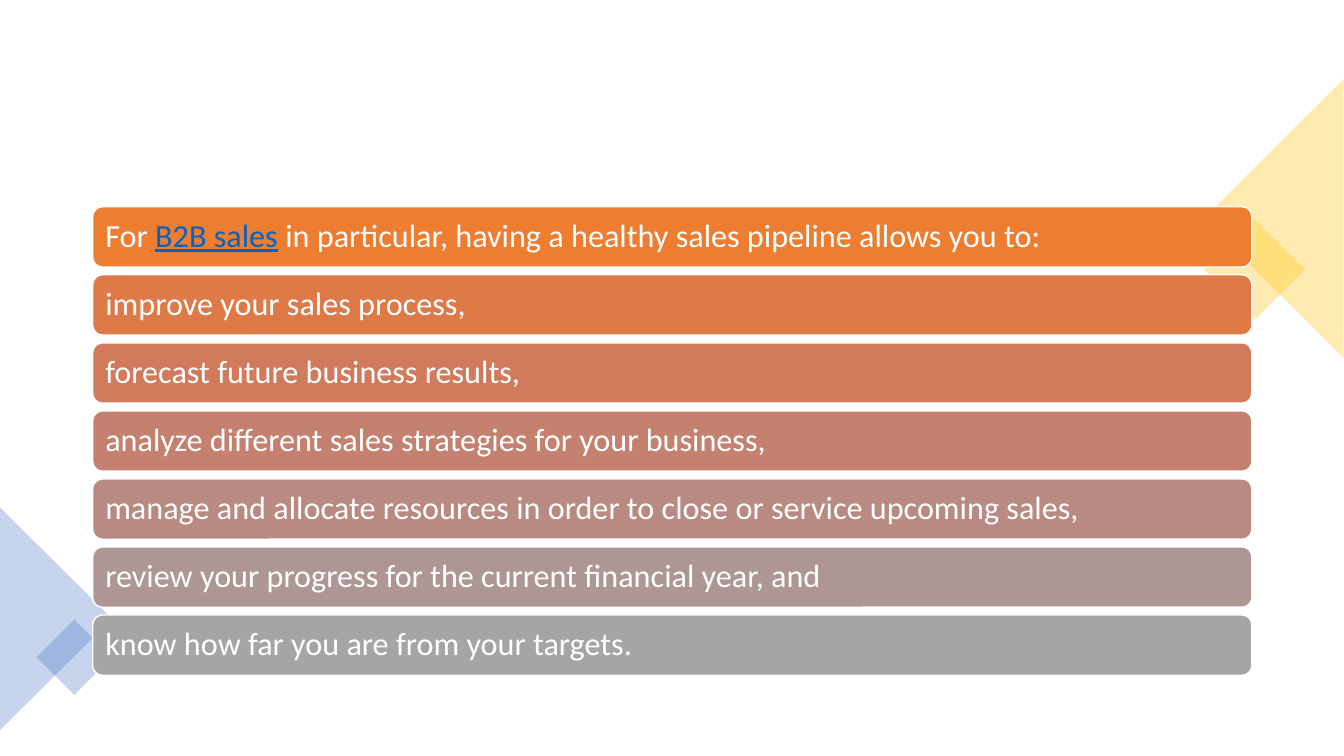
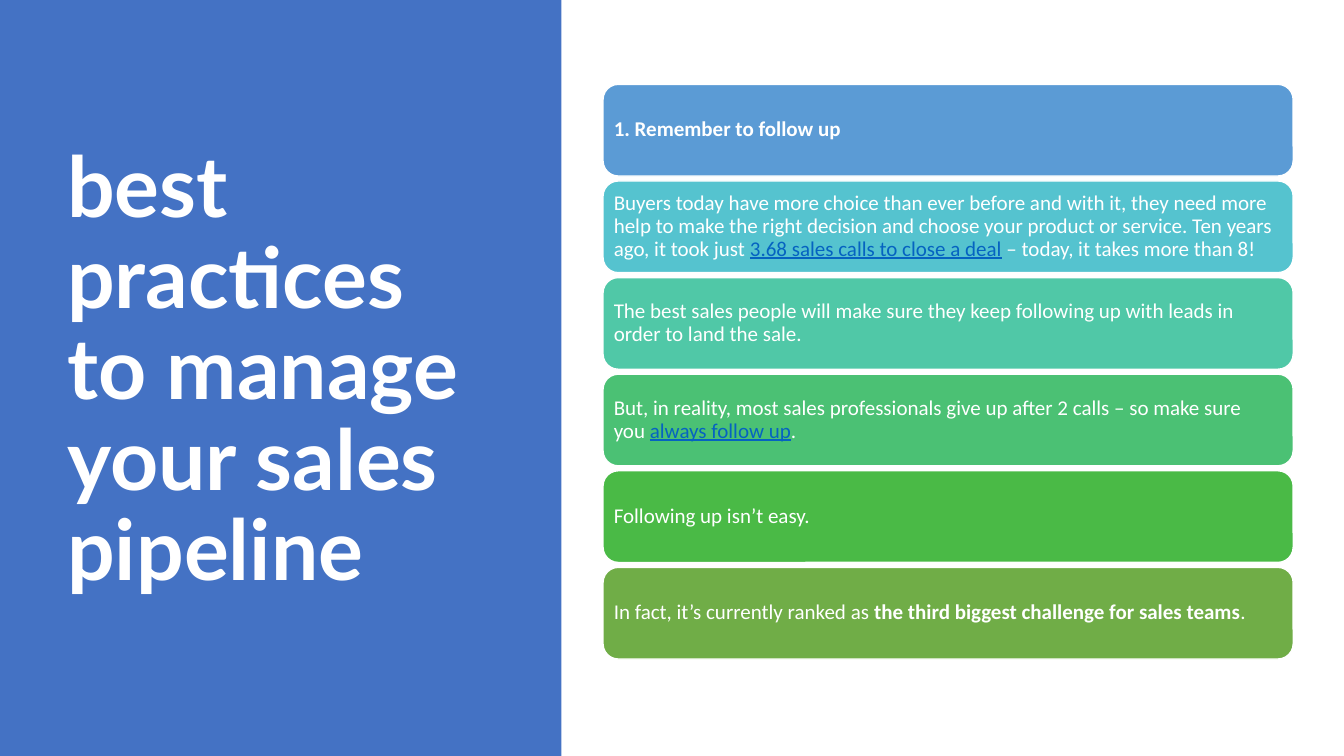
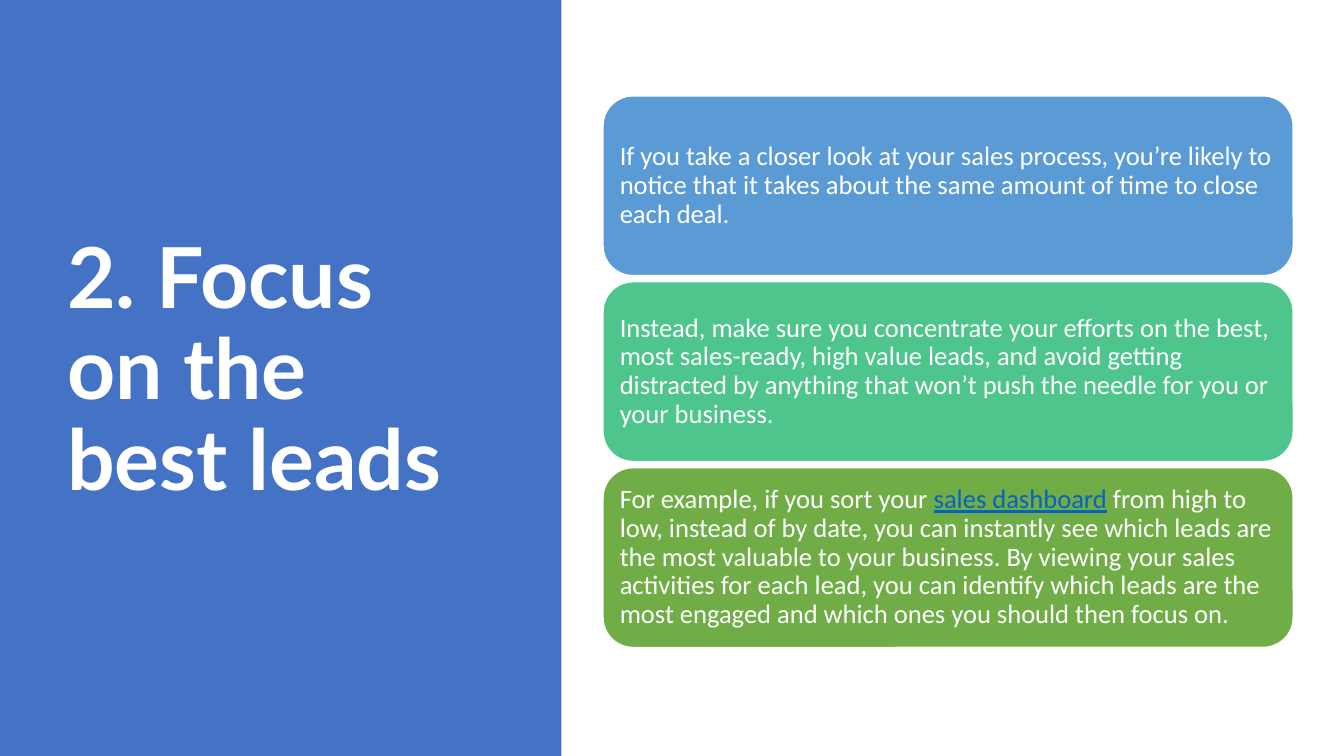
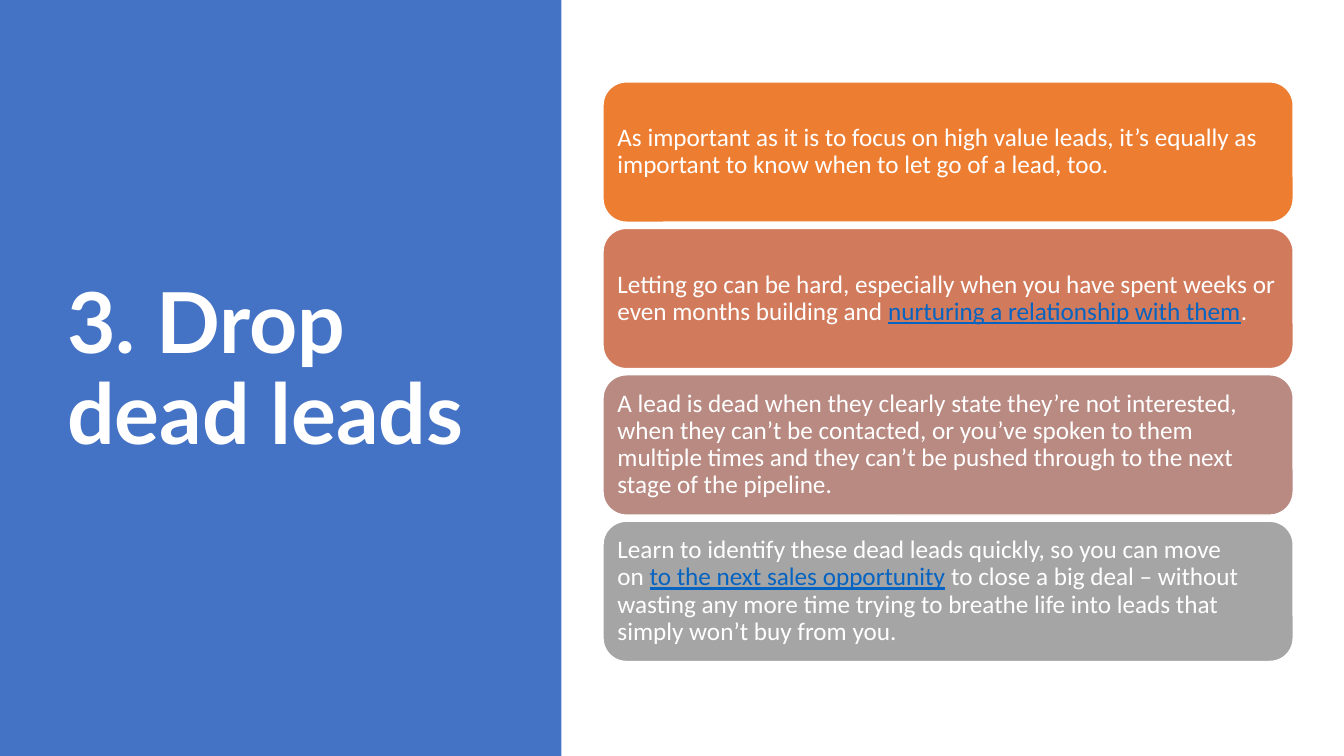
from lxml.etree import SubElement
from pptx import Presentation
from pptx.dml.color import RGBColor
from pptx.enum.shapes import MSO_SHAPE
from pptx.enum.text import MSO_ANCHOR, PP_ALIGN
from pptx.oxml.ns import qn
from pptx.util import Pt

RECT = MSO_SHAPE.RECTANGLE
ROUND = MSO_SHAPE.ROUNDED_RECTANGLE
PEAK = MSO_SHAPE.ISOSCELES_TRIANGLE
MIDDLE = MSO_ANCHOR.MIDDLE
LEFT = PP_ALIGN.LEFT

WHITE = RGBColor(0xFF, 0xFF, 0xFF)
BLUE = RGBColor(0x44, 0x72, 0xC4)
GOLD = RGBColor(0xFF, 0xC0, 0x00)
LINK = RGBColor(0x05, 0x63, 0xC1)
ORANGE = RGBColor(0xED, 0x7D, 0x31)
COPPER = RGBColor(0xDE, 0x7A, 0x47)
CLAY = RGBColor(0xD1, 0x7B, 0x5C)
ROSE = RGBColor(0xC4, 0x81, 0x70)
MAUVE = RGBColor(0xB9, 0x8A, 0x82)
ASH = RGBColor(0xAE, 0x96, 0x94)
GRAY = RGBColor(0xA5, 0xA5, 0xA5)
SKY = RGBColor(0x5B, 0x9B, 0xD5)
AQUA = RGBColor(0x55, 0xC3, 0xCF)
TEAL = RGBColor(0x50, 0xC8, 0xA7)
MINT = RGBColor(0x4D, 0xC5, 0x8D)
JADE = RGBColor(0x4B, 0xC1, 0x74)
GREEN = RGBColor(0x4A, 0xBA, 0x46)
OLIVE = RGBColor(0x70, 0xAD, 0x47)

BODY, HEAD = "Calibri", "Lato"
WIDE, HIGH = 960, 540

DECOR = [
    (RECT, GOLD, (870.5, 167, 51, 51), 45),
    (PEAK, GOLD, (810, 106, 199.5, 100), 270),
    (PEAK, BLUE, (-39.5, 402, 159, 80), 90),
    (RECT, BLUE, (34, 450.5, 38, 38), 45),
]

SLIDES = [
    dict(
        title=None, left=66.25, width=828, mid=315, high=43.05, gap=5.55, size=23,
        bars=[
            (ORANGE, ["For\u00a0", ("B2B sales", "link"),
                      "\u00a0in particular, having a healthy sales pipeline allows you to:"]),
            (COPPER, ["improve your\u00a0sales process,"]),
            (CLAY, ["forecast future business results,"]),
            (ROSE, ["analyze different sales strategies for your business,"]),
            (MAUVE, ["manage and allocate resources in order to close or service "
                     "upcoming sales,"]),
            (ASH, ["review your progress for the current financial year, and"]),
            (GRAY, ["know how far you are from your targets."]),
        ]),
    dict(
        title="best practices to manage your sales pipeline",
        left=430.75, width=493, mid=265.5, high=65.5, gap=3.5, size=15,
        bars=[
            (SKY, [("1. Remember to follow up", "bold")]),
            (AQUA, ["Buyers today have more choice than ever before and with it, they "
                    "need more help to make the right decision and choose your product "
                    "or service. Ten years ago, it took just\u00a0",
                    ("3.68 sales calls to close a deal", "link"),
                    "\u00a0– today, it takes more than 8!"]),
            (TEAL, ["The best sales people will make sure they keep following up with "
                    "leads in order to land the sale."]),
            (JADE, ["But, in reality, most sales professionals give up after 2 calls – "
                    "so make sure you\u00a0", ("always follow up", "link"), "."]),
            (GREEN, ["Following up isn’t easy."]),
            (OLIVE, ["In fact, it’s currently ranked as\u00a0",
                     ("the third biggest challenge for sales teams", "bold"), "."]),
        ]),
    dict(
        title="2. Focus on the best leads",
        left=430.75, width=493, mid=265.5, high=128.4, gap=4.4, size=19,
        bars=[
            (SKY, ["If you take a closer look at your sales process, you’re likely to "
                   "notice that it takes about the same amount of time to close each "
                   "deal."]),
            (MINT, ["Instead, make sure you concentrate your efforts on the best, most "
                    "sales-ready, high value leads, and avoid getting distracted by "
                    "anything that won’t push the needle for you or your business."]),
            (OLIVE, ["For example, if you sort your\u00a0", ("sales dashboard", "link"),
                     "\u00a0from high to low, instead of by date, you can instantly see "
                     "which leads are the most valuable to your business. By viewing "
                     "your sales activities for each lead, you can identify which leads "
                     "are the most engaged and which ones you should then focus on."]),
        ]),
    dict(
        title="3. Drop dead leads",
        left=430.75, width=493, mid=265.5, high=100.2, gap=4.4, size=18,
        bars=[
            (ORANGE, ["As important as it is to focus on high value leads, it’s equally "
                      "as important to know when to let go of a lead, too."]),
            (CLAY, ["Letting go can be hard, especially when you have spent weeks or "
                    "even months building and\u00a0",
                    ("nurturing a relationship with them", "link"), "."]),
            (MAUVE, ["A lead is dead when they clearly state they’re not interested, "
                     "when they can’t be contacted, or you’ve spoken to them multiple "
                     "times and they can’t be pushed through to the next stage of the "
                     "pipeline."]),
            (GRAY, ["Learn to identify these dead leads quickly, so you can move "
                    "on\u00a0", ("to the next sales opportunity", "link"),
                    "\u00a0to close a big deal – without wasting any more time trying to "
                    "breathe life into leads that simply won’t buy from you."]),
        ]),
]


def add_box(slide, kind, color, area, line=None, turn=0, alpha=None):
    box = slide.shapes.add_shape(kind, *map(Pt, area))
    box.shadow.inherit = False
    box.rotation = turn
    box.fill.solid()
    box.fill.fore_color.rgb = color
    if alpha:
        tint = next(box.element.spPr.iter(qn("a:srgbClr")))
        SubElement(tint, qn("a:alpha")).set("val", str(alpha * 1000))
    if line:
        box.line.color.rgb = line
        box.line.width = Pt(1)
    else:
        box.line.fill.background()
    return box


def put_text(box, parts, size, font=BODY, bold=False, pad=(7.2, 3.6)):
    frame = box.text_frame
    frame.word_wrap = True
    frame.vertical_anchor = MIDDLE
    frame.margin_left = frame.margin_right = Pt(pad[0])
    frame.margin_top = frame.margin_bottom = Pt(pad[1])
    para = frame.paragraphs[0]
    para.alignment = LEFT
    para.line_spacing = 0.9
    for part in parts:
        words, look = (part, None) if isinstance(part, str) else part
        run = para.add_run()
        run.text = words
        run.font.name = font
        run.font.size = Pt(size)
        run.font.bold = bold or look == "bold"
        run.font.underline = look == "link"
        run.font.color.rgb = LINK if look == "link" else WHITE


def add_side(slide, title):
    add_box(slide, RECT, BLUE, (0, 0, 401, HIGH))
    box = slide.shapes.add_textbox(Pt(41), Pt(49), Pt(299.5), Pt(433.5))
    put_text(box, [title], 60, font=HEAD, bold=True)


def add_bars(slide, bars, left, width, mid, high, gap, size):
    step = high + gap
    top = mid - (len(bars) * step - gap) / 2
    pad = 0.3 * size
    for row, (color, parts) in enumerate(bars):
        area = (left, top + row * step, width, high)
        bar = add_box(slide, ROUND, color, area, line=WHITE)
        put_text(bar, parts, size, pad=(pad, pad))


deck = Presentation()
deck.slide_width, deck.slide_height = Pt(WIDE), Pt(HIGH)
for data in SLIDES:
    slide = deck.slides.add_slide(deck.slide_layouts[6])
    stack = dict(data)
    title = stack.pop("title")
    if title:
        add_side(slide, title)
    else:
        for kind, color, area, turn in DECOR:
            add_box(slide, kind, color, area, turn=turn, alpha=30)
    add_bars(slide, **stack)
deck.save("out.pptx")
